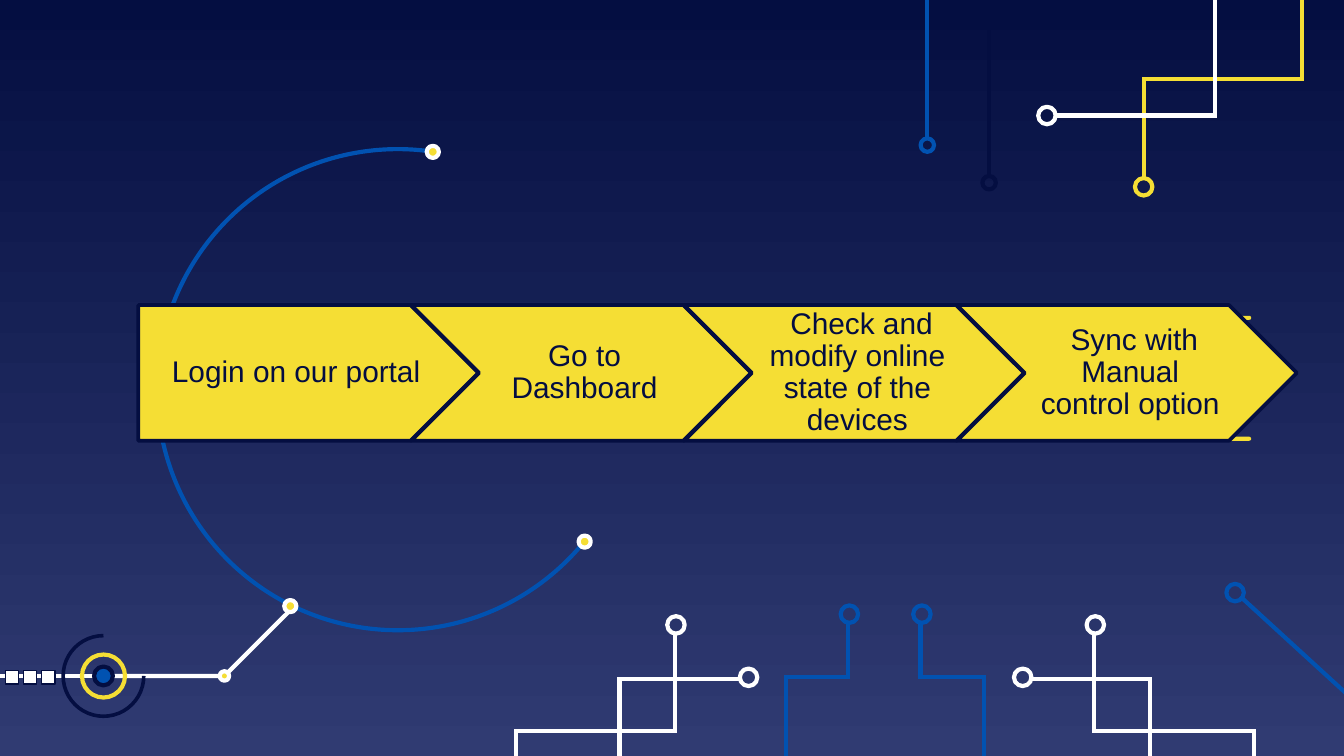
from lxml import etree
from pptx import Presentation
from pptx.dml.color import RGBColor
from pptx.enum import shapes as kinds, text
from pptx.oxml.ns import qn
from pptx.util import Inches, Pt

NAVY = RGBColor(0x04, 0x0E, 0x41)
SLATE = RGBColor(0x30, 0x3B, 0x72)
BLUE = RGBColor(0x01, 0x52, 0xB1)
YELLOW = RGBColor(0xF5, 0xDE, 0x34)
WHITE = RGBColor(0xFF, 0xFF, 0xFF)
SHAPE = kinds.MSO_SHAPE

deck = Presentation()
deck.slide_width, deck.slide_height = Inches(10), Inches(10 * 9 / 16)
page = deck.slides.add_slide(deck.slide_layouts[6])
backdrop = page.background.fill
backdrop.gradient()
backdrop.gradient_angle = 270
for stop, color in zip(backdrop.gradient_stops, (NAVY, SLATE)):
    stop.color.rgb = color


def style(shape, line=None, fill=None, width=2.25):
    shape.shadow.inherit = False
    if fill is None:
        shape.fill.background()
    else:
        shape.fill.solid()
        shape.fill.fore_color.rgb = fill
    if line is None:
        shape.line.fill.background()
    else:
        shape.line.color.rgb = line
        shape.line.width = Pt(width)


def add_round(x, y, size, line, fill=None, width=2.25, kind=SHAPE.OVAL):
    shape = page.shapes.add_shape(
        kind, Inches(x - size / 2), Inches(y - size / 2), Inches(size), Inches(size))
    style(shape, line, fill, width)
    return shape


traces = [
    (BLUE, [(6.31, 4.63), (6.31, 5.04), (5.85, 5.04), (5.85, 6.15)]),
    (WHITE, [(5.51, 5.05), (4.61, 5.05), (4.61, 6.15)]),
    (WHITE, [(5.02, 4.71), (5.02, 5.44), (3.84, 5.44), (3.84, 6.15)]),
    (BLUE, [(6.85, 4.63), (6.85, 5.04), (7.32, 5.04), (7.32, 6.15)]),
    (WHITE, [(7.66, 5.05), (8.56, 5.05), (8.56, 6.15)]),
    (WHITE, [(8.14, 4.71), (8.14, 5.44), (9.33, 5.44), (9.33, 6.15)]),
    (YELLOW, [(8.51, 1.33), (8.51, 0.59), (9.69, 0.59), (9.69, -0.11)]),
    (WHITE, [(7.84, 0.86), (9.04, 0.86), (9.04, -0.24)]),
    (WHITE, [(2.15, 4.55), (1.67, 5.03), (0.77, 5.03)]),
]
for color, points in traces:
    corners = [(Inches(x), Inches(y)) for x, y in points]
    builder = page.shapes.build_freeform(*corners[0])
    builder.add_line_segments(corners[1:], close=False)
    trace = builder.convert_to_shape()
    style(trace, color)
    outline = trace._element.spPr.find(qn("a:ln"))
    etree.SubElement(outline, qn("a:miter"), lim="800000")

straight_traces = [
    (BLUE, 9.23, 4.44, 10.65, 5.74),
    (BLUE, 6.9, 1.04, 6.9, -0.11),
    (NAVY, 7.36, 1.32, 7.36, 0.17),
    (WHITE, 0, 5.03, 0.98, 5.03),
]
for color, *ends in straight_traces:
    trace = page.shapes.add_connector(
        kinds.MSO_CONNECTOR.STRAIGHT, *[Inches(value) for value in ends])
    trace.line.color.rgb = color
    trace.line.width = Pt(2.25)
    etree.SubElement(trace._element.spPr, qn("a:effectLst"))

rings = [
    (6.32, 4.57, 0.13, BLUE), (5.57, 5.04, 0.13, WHITE),
    (5.03, 4.65, 0.13, WHITE), (6.86, 4.57, 0.13, BLUE),
    (7.61, 5.04, 0.13, WHITE), (8.15, 4.65, 0.13, WHITE),
    (9.19, 4.41, 0.13, BLUE), (8.51, 1.39, 0.13, YELLOW),
    (7.79, 0.86, 0.13, WHITE), (6.9, 1.08, 0.1, BLUE), (7.36, 1.36, 0.1, NAVY),
]
for ring in rings:
    add_round(*ring)

for top in (2.35, 3.25):
    bar = page.shapes.add_shape(
        SHAPE.ROUNDED_RECTANGLE, Inches(9.1), Inches(top), Inches(0.21), Inches(0.03))
    bar.adjustments[0] = 0.5
    style(bar, fill=YELLOW)

for index in range(3):
    square = page.shapes.add_shape(
        SHAPE.RECTANGLE, Inches(0.04 + 0.135 * index), Inches(4.99), Inches(0.1), Inches(0.1))
    style(square, NAVY, WHITE, 0.66)

arcs = [
    (2.96, 2.9, 3.58, BLUE, 2.25, 39, 278),
    (0.77, 5.03, 0.6, NAVY, 1.92, 0, 270),
]
for x, y, size, color, width, start, end in arcs:
    arc = add_round(x, y, size, color, width=width, kind=SHAPE.ARC)
    arc.adjustments[0], arc.adjustments[1] = start * 0.6, end * 0.6

for x, y, size in [(2.16, 4.51, 0.09), (1.67, 5.03, 0.07), (4.35, 4.03, 0.09), (3.22, 1.13, 0.09)]:
    add_round(x, y, size, WHITE, YELLOW)
add_round(0.77, 5.03, 0.14, NAVY, BLUE)
add_round(0.77, 5.03, 0.32, YELLOW)

steps = [
    "Login on our portal",
    "Go to Dashboard",
    " Check and modify online state of the devices",
    " Sync with Manual control option",
]
for index, label in enumerate(steps):
    step = page.shapes.add_shape(
        SHAPE.CHEVRON if index else SHAPE.PENTAGON,
        Inches(1.03 + 2.03 * index), Inches(2.27), Inches(2.53), Inches(1.01))
    style(step, NAVY, YELLOW, 2)
    frame = step.text_frame
    frame.word_wrap = True
    frame.vertical_anchor = text.MSO_ANCHOR.MIDDLE
    frame.margin_left = Inches(0.07 if index else 0.09)
    frame.margin_right = Inches(0.02)
    frame.margin_top = frame.margin_bottom = Inches(0.05)
    frame.text = label
    para = frame.paragraphs[0]
    para.alignment = text.PP_ALIGN.CENTER
    para.line_spacing = 0.9
    font = para.runs[0].font
    font.name, font.size = "Arial", Pt(16)
    font.color.rgb = NAVY

deck.save("out.pptx")
